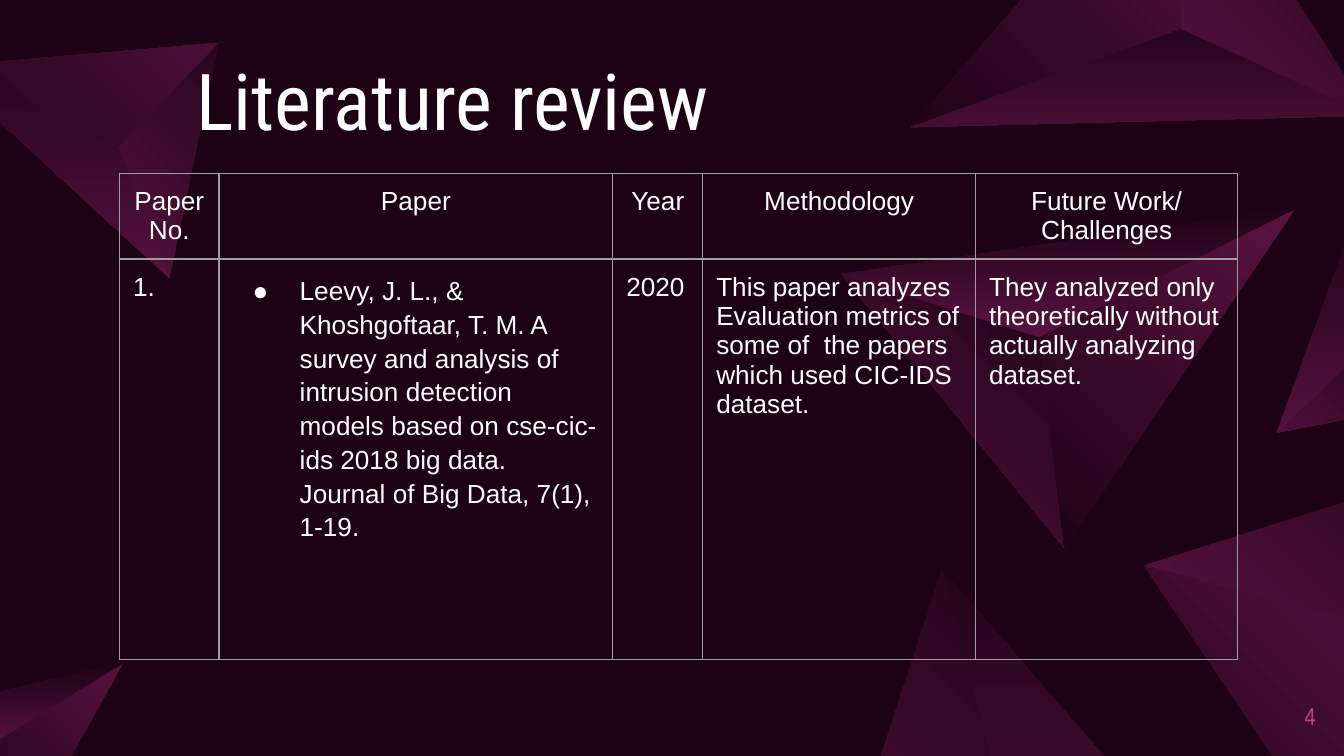
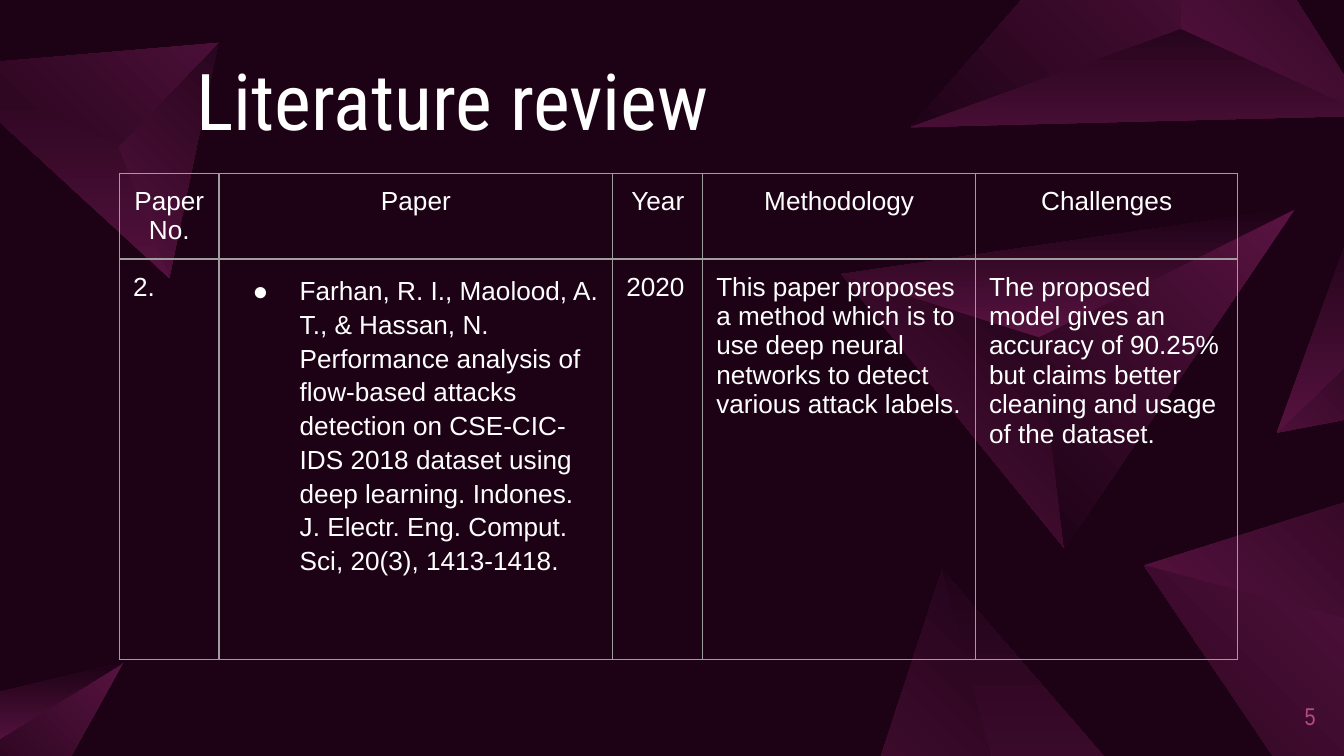
import math
from dataclasses import dataclass

import pptx
import pptx.dml.color
import pptx.enum.text
import pptx.oxml
import pptx.oxml.ns
import pptx.util

Inches = pptx.util.Inches
Pt = pptx.util.Pt
Align = pptx.enum.text.PP_ALIGN
Anchor = pptx.enum.text.MSO_ANCHOR


@dataclass(frozen=True)
class Theme:
    back: str = "1D0216"
    glow: str = "591341"
    ink: str = "FFFFFF"
    accent: str = "B64B7F"
    rule: str = "9E9E9E"
    head: str = "Roboto Condensed"
    body: str = "Arial"
    foot: str = "Arial Narrow"
    large: int = 42
    text: int = 14
    small: int = 13
    line: float = 0.75


THEME = Theme()

TIP, BASE, CORE, WING = (0, 0.49), (1.66, 2.53), (1.47, 0.96), (3.38, 0)
FACETS = [
    ((TIP, BASE, CORE), 45),
    ((BASE, WING, CORE), 225),
    ((TIP, CORE, WING), 90),
]
GEMS = [
    (11.02, 3.42, 1, 111.7),
    (1.26, 2.07, 0.68, 230.9),
    (6.26, 2.04, 1, 0),
    (10.19, 0.86, 1, 186.8),
    (9.5, 3.22, 0.52, 298.3),
    (7.01, 4.24, 1, 57.3),
    (-0.81, 5.34, 0.52, 354.9),
]

WIDTHS = [0.74, 2.93, 0.67, 2.03, 1.95]
HEIGHTS = [0.61, 2.98]
HEADS = ["Paper\vNo.", "Paper", "Year", "Methodology"]
PAPERS = [
    (4, "Future Work/ Challenges", [
        "1.",
        "Leevy, J. L., & Khoshgoftaar, T. M. A survey and analysis of "
        "intrusion detection models based on cse-cic-ids 2018 big data. "
        "Journal of Big Data, 7(1), 1-19.",
        "2020",
        "This paper analyzes\nEvaluation metrics of some of  the papers "
        "which used CIC-IDS dataset.",
        "They analyzed only theoretically without actually analyzing dataset.",
    ]),
    (5, "Challenges", [
        "2.",
        "Farhan, R. I., Maolood, A. T., & Hassan, N. Performance analysis of "
        "flow-based attacks detection on CSE-CIC-IDS 2018 dataset using deep "
        "learning. Indones. J. Electr. Eng. Comput. Sci, 20(3), 1413-1418.",
        "2020",
        "This paper proposes a method which is to use deep neural networks "
        "to detect various attack labels.",
        "The proposed model gives an accuracy of 90.25% but claims better "
        "cleaning and usage of the dataset.",
    ]),
]


def color(code):
    return pptx.dml.color.RGBColor.from_string(code)


def style(font, face, size, code):
    font.name = face
    font.size = Pt(size)
    font.color.rgb = color(code)


def frame(shape, anchor):
    area = shape.text_frame
    area.word_wrap = True
    area.auto_size = pptx.enum.text.MSO_AUTO_SIZE.NONE
    area.vertical_anchor = anchor
    area.margin_left = area.margin_right = 0
    area.margin_top = area.margin_bottom = 0
    return area


def add_facet(slide, gem, points, slant):
    left, top, scale, turn = gem
    xs, ys = zip(*points)
    mid_x, mid_y = (min(xs) + max(xs)) / 2, (min(ys) + max(ys)) / 2
    cos, sin = math.cos(math.radians(turn)), math.sin(math.radians(turn))
    dx, dy = mid_x - TIP[0], mid_y - TIP[1]
    hub_x = left + scale * (dx * cos - dy * sin)
    hub_y = top + scale * (dx * sin + dy * cos)
    spots = [
        (Inches(hub_x + scale * (x - mid_x)), Inches(hub_y + scale * (y - mid_y)))
        for x, y in points
    ]
    pen = slide.shapes.build_freeform(*spots[0])
    pen.add_line_segments(spots[1:], close=True)
    shape = pen.convert_to_shape()
    shape.rotation = turn
    shape.shadow.inherit = False
    shape.line.fill.background()
    shape.fill.gradient()
    shape.fill.gradient_angle = slant
    for stop, code in zip(shape.fill.gradient_stops, (THEME.glow, THEME.back)):
        stop.color.rgb = color(code)
    blend = shape.element.spPr.find(pptx.oxml.ns.qn("a:gradFill"))
    blend.set("rotWithShape", "0")
    return shape


def dress_layout(layout, slide):
    fill = layout.background.fill
    fill.solid()
    fill.fore_color.rgb = color(THEME.back)
    shapes = [add_facet(slide, gem, *facet) for gem in GEMS for facet in FACETS]
    for rank, shape in enumerate(shapes):
        shape.element.nvSpPr.cNvPr.set("id", str(100 + rank))
        layout.shapes.element.insert(2 + rank, shape.element)


def set_title(slide, text):
    title = slide.shapes.title
    title.left, title.top = Inches(1.46), Inches(0.45)
    title.width, title.height = Inches(7.08), Inches(0.65)
    para = frame(title, Anchor.BOTTOM).paragraphs[0]
    para.text = text
    para.alignment = Align.LEFT
    para.line_spacing = 0.9
    style(para.font, THEME.head, THEME.large, THEME.ink)


def add_number(slide, number):
    box = slide.shapes.add_textbox(
        Inches(9.35), Inches(5.11), Inches(0.44), Inches(0.43))
    para = frame(box, Anchor.MIDDLE).paragraphs[0]
    para.text = str(number)
    para.alignment = Align.RIGHT
    style(para.font, THEME.foot, THEME.small, THEME.accent)


def add_border(cell):
    props = cell._tc.get_or_add_tcPr()
    space = pptx.oxml.ns.nsdecls("a")
    for side in "LRTB":
        props.append(pptx.oxml.parse_xml(
            f'<a:ln{side} {space} w="{Pt(THEME.line)}"><a:solidFill>'
            f'<a:srgbClr val="{THEME.rule}"/></a:solidFill></a:ln{side}>'))


def add_bullet(para):
    props = para._p.get_or_add_pPr()
    props.set("marL", str(Inches(0.5)))
    props.set("indent", str(Inches(-0.35)))
    para.line_spacing = 1.15
    space = pptx.oxml.ns.nsdecls("a")
    marks = [
        f'<a:buClr {space}><a:srgbClr val="{THEME.ink}"/></a:buClr>',
        f'<a:buSzPts {space} val="{THEME.text * 100}"/>',
        f'<a:buFont {space} typeface="{THEME.body}"/>',
        f'<a:buChar {space} char="●"/>',
    ]
    spacing = props.find(pptx.oxml.ns.qn("a:lnSpc"))
    for mark in reversed(marks):
        spacing.addnext(pptx.oxml.parse_xml(mark))


def fill_cell(cell, text, align):
    cell.text = text
    cell.margin_left = cell.margin_right = Inches(0.1)
    cell.margin_top = cell.margin_bottom = Inches(0.1)
    add_border(cell)
    cell.fill.background()
    for para in cell.text_frame.paragraphs:
        para.alignment = align
        style(para.font, THEME.body, THEME.text, THEME.ink)


def add_review(slide, rows):
    table = slide.shapes.add_table(
        len(HEIGHTS), len(WIDTHS), Inches(0.89), Inches(1.29),
        Inches(sum(WIDTHS)), Inches(sum(HEIGHTS))).table
    table.first_row = table.horz_banding = False
    for column, width in zip(table.columns, WIDTHS):
        column.width = Inches(width)
    for row, height in zip(table.rows, HEIGHTS):
        row.height = Inches(height)
    for row, texts, align in zip(table.rows, rows, (Align.CENTER, Align.LEFT)):
        for cell, text in zip(row.cells, texts):
            fill_cell(cell, text, align)
    add_bullet(table.cell(1, 1).text_frame.paragraphs[0])


def main():
    deck = pptx.Presentation()
    deck.slide_width = Inches(10)
    deck.slide_height = deck.slide_width * 9 // 16
    layout = deck.slide_layouts.get_by_name("Title Only")
    slides = [deck.slides.add_slide(layout) for _ in PAPERS]
    dress_layout(layout, slides[0])
    for slide, (number, last, entry) in zip(slides, PAPERS):
        set_title(slide, "Literature review")
        add_number(slide, number)
        add_review(slide, [HEADS + [last], entry])
    deck.save("out.pptx")


if __name__ == "__main__":
    main()
